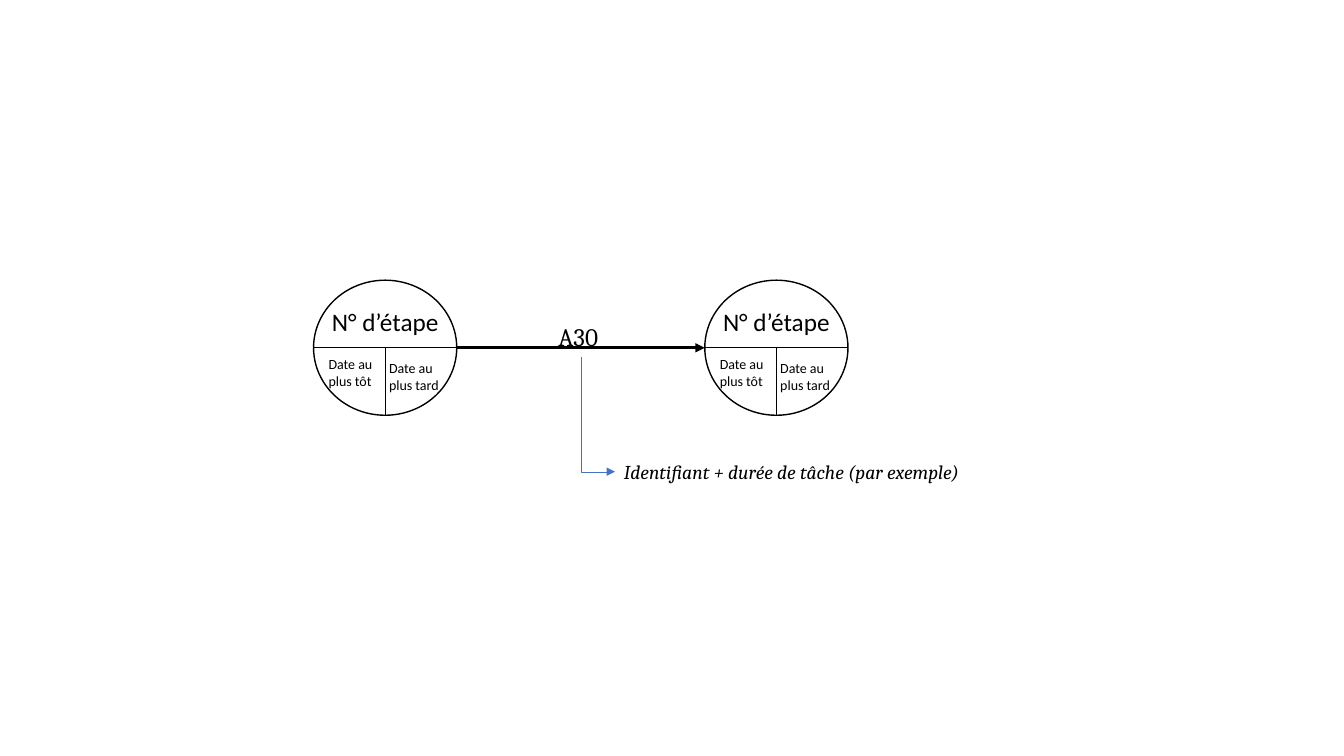
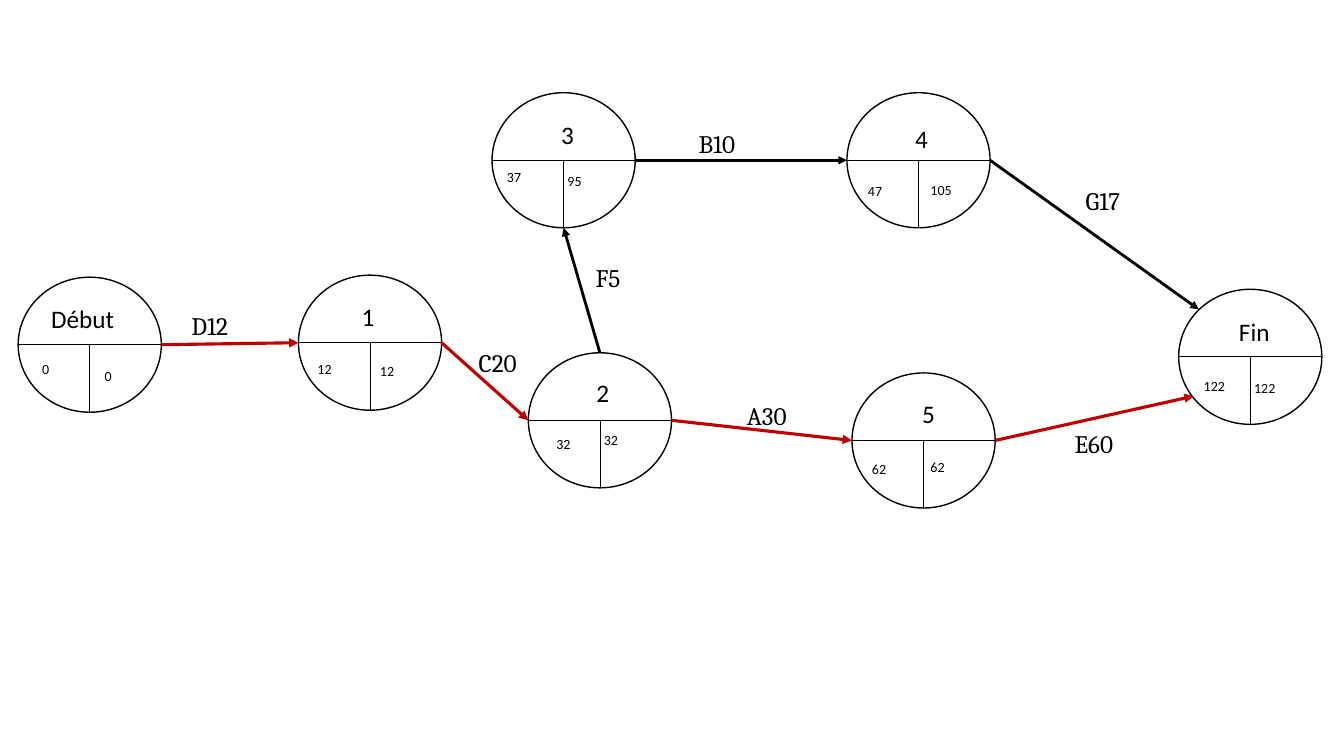
import lxml.etree
import pptx
import pptx.dml.color
import pptx.enum.shapes
import pptx.enum.text
import pptx.oxml.ns
import pptx.util

PX = 9144
COLOURS = {"ink": "000000", "critical": "C00000", "callout": "4472C4"}
NODE_WIDTH, NODE_HEIGHT = 142, 134
MIDDLE_X, MIDDLE_Y = NODE_WIDTH // 2, NODE_HEIGHT // 2
SITES = {
    "left": (0, MIDDLE_Y),
    "right": (NODE_WIDTH, MIDDLE_Y),
    "top": (MIDDLE_X, 0),
    "bottom": (MIDDLE_X, NODE_HEIGHT),
    "upper left": (20, 20),
    "lower left": (15, 106),
}
STEP_FONT = {"name": "Calibri", "size": pptx.util.Pt(18)}
DATE_FONT = {"name": "Calibri", "size": pptx.util.Pt(10)}
TASK_FONT = {"name": "Cambria", "size": pptx.util.Pt(18)}
CAPTION_FONT = {"name": "Cambria", "size": pptx.util.Pt(14), "italic": True}
DIVIDER = ("ink", 0.5)
THIN = ("ink", 0)
THICK = ("ink", 2.25)
CRITICAL = ("critical", 2.25)
CALLOUT = ("callout", 0.25)
STRAIGHT = pptx.enum.shapes.MSO_CONNECTOR.STRAIGHT
ELBOW = pptx.enum.shapes.MSO_CONNECTOR.ELBOW
CENTER = pptx.enum.text.PP_ALIGN.CENTER
LEFT = pptx.enum.text.PP_ALIGN.LEFT


def emu(*lengths):
    return [length * PX for length in lengths]


def colour(name):
    return pptx.dml.color.RGBColor.from_string(COLOURS[name])


def add_text(slide, box, text, font, wrap=False, alignment=LEFT):
    shape = slide.shapes.add_textbox(*emu(*box))
    frame = shape.text_frame
    frame.word_wrap = wrap
    frame.auto_size = pptx.enum.text.MSO_AUTO_SIZE.SHAPE_TO_FIT_TEXT
    paragraph = frame.paragraphs[0]
    paragraph.alignment = alignment
    run = paragraph.add_run()
    run.text = text
    for attribute, value in font.items():
        setattr(run.font, attribute, value)
    run.font.color.rgb = colour("ink")


def set_line(shape, style):
    name, width = style
    shape.line.color.rgb = colour(name)
    shape.line.width = pptx.util.Pt(width)


def add_line(slide, start, end, style, arrow=False, kind=STRAIGHT):
    connector = slide.shapes.add_connector(kind, *emu(*start, *end))
    set_line(connector, style)
    properties = connector._element.spPr
    if arrow:
        outline = properties.find(pptx.oxml.ns.qn("a:ln"))
        lxml.etree.SubElement(outline, pptx.oxml.ns.qn("a:tailEnd"), type="triangle")
    lxml.etree.SubElement(properties, pptx.oxml.ns.qn("a:effectLst"))
    return connector


def add_down_then_right_arrow(slide, start, end, style):
    center_x, center_y = (start[0] + end[0]) / 2, (start[1] + end[1]) / 2
    half_run, half_drop = (end[0] - start[0]) / 2, (end[1] - start[1]) / 2
    connector = add_line(
        slide,
        (round(center_x + half_drop), round(center_y - half_run)),
        (round(center_x - half_drop), round(center_y + half_run)),
        style, True, ELBOW)
    connector.rotation = 270
    geometry = connector._element.spPr.find(pptx.oxml.ns.qn("a:prstGeom"))
    geometry.set("prst", "bentConnector2")


def add_node(slide, origin, label, label_box, earliest, earliest_at,
             latest, latest_at, date_height=26):
    left, top = origin
    shape = slide.shapes.add_shape(
        pptx.enum.shapes.MSO_SHAPE.OVAL, *emu(left, top, NODE_WIDTH, NODE_HEIGHT))
    shape.shadow.inherit = False
    shape.fill.background()
    set_line(shape, ("ink", 1))
    middle = (left + MIDDLE_X, top + MIDDLE_Y)
    add_line(slide, site(origin, "left"), site(origin, "right"), DIVIDER)
    add_line(slide, middle, site(origin, "bottom"), DIVIDER)
    label_left, label_top, label_width = label_box
    add_text(slide, (left + label_left, top + label_top, label_width, 40),
             label, STEP_FONT, alignment=CENTER)
    for text, (date_left, date_top) in ((earliest, earliest_at), (latest, latest_at)):
        add_text(slide, (left + date_left, top + date_top, 71, date_height),
                 text, DATE_FONT, wrap=True)


def site(origin, name):
    return tuple(base + offset for base, offset in zip(origin, SITES[name]))


def build_legend(slide):
    origins = ((311, 278), (699, 278))
    for origin in origins:
        add_node(slide, origin, "N° d’étape", (-4, 21, 150),
                 "Date au plus tôt", (5, 70), "Date au plus tard", (65, 74), 43)
    add_line(slide, site(origins[0], "right"), site(origins[1], "left"), THICK, True)
    add_text(slide, (544, 314, 64, 40), "A30", TASK_FONT)
    add_text(slide, (609, 451, 382, 33),
             "Identifiant + durée de tâche (par exemple)", CAPTION_FONT)
    add_down_then_right_arrow(slide, (576, 354), (609, 468), CALLOUT)


def build_network(slide):
    nodes = (
        ((18, 275), "Début", (9, 21, 110), "0", (14, 78), "0", (76, 85)),
        ((296, 273), "1", (39, 21, 60), "12", (9, 80), "12", (71, 82)),
        ((1169, 287), "Fin", (35, 22, 80), "122", (15, 83), "122", (65, 85)),
        ((524, 350), "2", (44, 19, 60), "32", (18, 77), "32", (65, 73)),
        ((488, 92), "3", (45, 21, 60), "37", (5, 70), "95", (65, 74)),
        ((840, 92), "4", (44, 25, 60), "47", (11, 84), "105", (73, 83)),
        ((845, 370), "5", (46, 20, 60), "62", (10, 82), "62", (68, 80)),
    )
    tasks = (
        ("D12", (180, 303, 66), "Début", "right", "1", "left", CRITICAL),
        ("C20", (465, 340, 64), "1", "right", "2", "left", CRITICAL),
        ("A30", (731, 392, 64), "2", "right", "5", "left", CRITICAL),
        ("E60", (1056, 420, 62), "5", "right", "Fin", "lower left", CRITICAL),
        ("F5", (581, 255, 47), "2", "top", "3", "bottom", THIN),
        ("B10", (683, 122, 64), "3", "right", "4", "left", THIN),
        ("G17", (1067, 179, 66), "4", "right", "Fin", "upper left", THIN),
    )
    origins = {}
    for node in nodes:
        add_node(slide, *node)
        origins[node[1]] = node[0]
    for name, box, source, source_site, target, target_site, style in tasks:
        add_line(slide, site(origins[source], source_site),
                 site(origins[target], target_site), style, True)
        add_text(slide, (*box, 40), name, TASK_FONT)


def main():
    presentation = pptx.Presentation()
    presentation.slide_width, presentation.slide_height = emu(1333, 750)
    for build in (build_legend, build_network):
        build(presentation.slides.add_slide(presentation.slide_layouts[6]))
    presentation.save("out.pptx")


if __name__ == "__main__":
    main()
